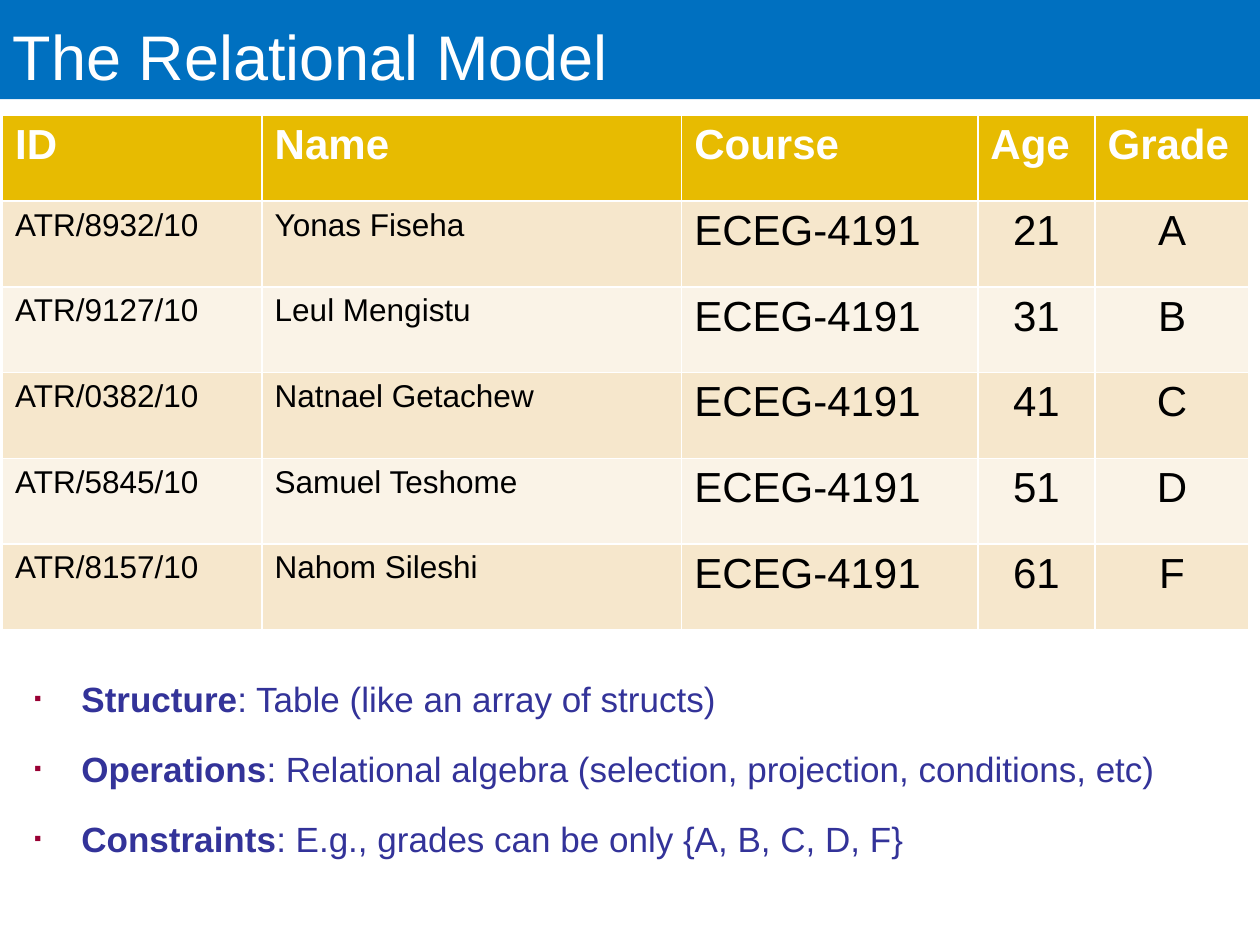
import pptx
import pptx.dml.color
import pptx.enum.text
import pptx.oxml
import pptx.oxml.ns
import pptx.util

Pt = pptx.util.Pt
ALIGN = pptx.enum.text.PP_ALIGN
ANCHOR = pptx.enum.text.MSO_ANCHOR
COLORS = {
    "banner": "0070C0",
    "header": "E7BB01",
    "odd": "F6E7CC",
    "even": "FAF3E7",
    "white": "FFFFFF",
    "black": "000000",
    "body": "333399",
    "bullet": "990033",
}
HEADINGS = ["ID", "Name", "Course", "Age", "Grade"]
STUDENTS = [
    ("ATR/8932/10", "Yonas Fiseha", "21", "A"),
    ("ATR/9127/10", "Leul Mengistu", "31", "B"),
    ("ATR/0382/10", "Natnael Getachew", "41", "C"),
    ("ATR/5845/10", "Samuel Teshome", "51", "D"),
    ("ATR/8157/10", "Nahom Sileshi", "61", "F"),
]
COURSE = "ECEG-4191"
COLUMN_WIDTHS = [148.3, 239.8, 169.2, 67, 88]
COLUMN_SIZES = [18, 18, 24, 24, 24]
COLUMN_ALIGNS = [ALIGN.LEFT] * 3 + [ALIGN.CENTER] * 2
POINTS = [
    ("Structure", ": Table (like an array of structs)"),
    ("Operations", ": Relational algebra (selection, projection, conditions, etc)"),
    ("Constraints", ": E.g., grades can be only {A, B, C, D, F}"),
]


def rgb(name):
    """Return the named color."""
    return pptx.dml.color.RGBColor.from_string(COLORS[name])


def write(para, text, size=20, color="black", bold=False, align=ALIGN.LEFT, font="Arial"):
    """Add a formatted span of text to a paragraph."""
    para.alignment = align
    span = para.add_run()
    span.text = text
    span.font.name = font
    span.font.size = Pt(size)
    span.font.bold = bold
    span.font.color.rgb = rgb(color)


def fill(item, color):
    """Give a shape or cell a solid fill."""
    item.fill.solid()
    item.fill.fore_color.rgb = rgb(color)


class SlideBuilder:
    """Hold the style and the current slide."""

    def __init__(self, deck):
        """Add a page with title and body placeholders."""
        self.page = deck.slides.add_slide(deck.slide_layouts[1])

    def place(self, box, left, top, width, height, anchor):
        """Move a placeholder and set up its text frame."""
        box.left, box.top, box.width, box.height = map(Pt, (left, top, width, height))
        frame = box.text_frame
        frame.word_wrap = True
        frame.auto_size = pptx.enum.text.MSO_AUTO_SIZE.NONE
        frame.vertical_anchor = anchor
        return frame

    def title(self, text):
        """Write the title on its banner."""
        box = self.page.shapes.title
        frame = self.place(box, 0, 0, 720, 56.7, ANCHOR.BOTTOM)
        fill(box, "banner")
        write(frame.paragraphs[0], text, size=36, color="white")

    def bullets(self, points):
        """Write the list of terms and their explanations."""
        frame = self.place(self.page.placeholders[1], 12.3, 371.5, 702, 157, ANCHOR.TOP)
        frame.margin_right = 0
        for index, (term, explanation) in enumerate(points):
            para = frame.add_paragraph() if index else frame.paragraphs[0]
            write(para, term, color="body", bold=True)
            write(para, explanation, color="body")
            self.bullet(para)

    def bullet(self, para):
        """Set the spacing, hanging indent and square bullet of a paragraph."""
        properties = para._p.get_or_add_pPr()
        properties.set("marL", str(Pt(27)))
        properties.set("indent", str(-Pt(27)))
        para.line_spacing = 1.5
        for markup in (
            '<a:spcBef {}><a:spcPct val="20000"/></a:spcBef>',
            '<a:buClr {}><a:srgbClr val="' + COLORS["bullet"] + '"/></a:buClr>',
            '<a:buSzPct {} val="60000"/>',
            '<a:buFont {} typeface="Arial"/>',
            '<a:buChar {} char="▪"/>',
        ):
            namespace = pptx.oxml.ns.nsdecls("a")
            properties.append(pptx.oxml.parse_xml(markup.format(namespace)))

    def table(self, headings, rows):
        """Draw a table with a header and alternating row fills."""
        count = len(rows) + 1
        frame = self.page.shapes.add_table(
            count, len(headings), Pt(1.5), Pt(66), Pt(sum(COLUMN_WIDTHS)), Pt(49 * count)
        )
        grid = frame.table
        for column, width in zip(grid.columns, COLUMN_WIDTHS):
            column.width = Pt(width)
        for column, heading in enumerate(headings):
            cell = grid.cell(0, column)
            fill(cell, "header")
            write(cell.text_frame.paragraphs[0], heading, size=24, color="white", bold=True)
        for row, values in enumerate(rows, start=1):
            for column, value in enumerate(values):
                cell = grid.cell(row, column)
                fill(cell, "odd" if row % 2 else "even")
                write(
                    cell.text_frame.paragraphs[0],
                    value,
                    size=COLUMN_SIZES[column],
                    align=COLUMN_ALIGNS[column],
                )


def main():
    """Build and save the deck."""
    deck = pptx.Presentation()
    deck.slide_width, deck.slide_height = Pt(720), Pt(540)
    builder = SlideBuilder(deck)
    builder.title("The Relational Model")
    builder.bullets(POINTS)
    rows = [(number, name, COURSE, age, grade) for number, name, age, grade in STUDENTS]
    builder.table(HEADINGS, rows)
    deck.save("out.pptx")


if __name__ == "__main__":
    main()
